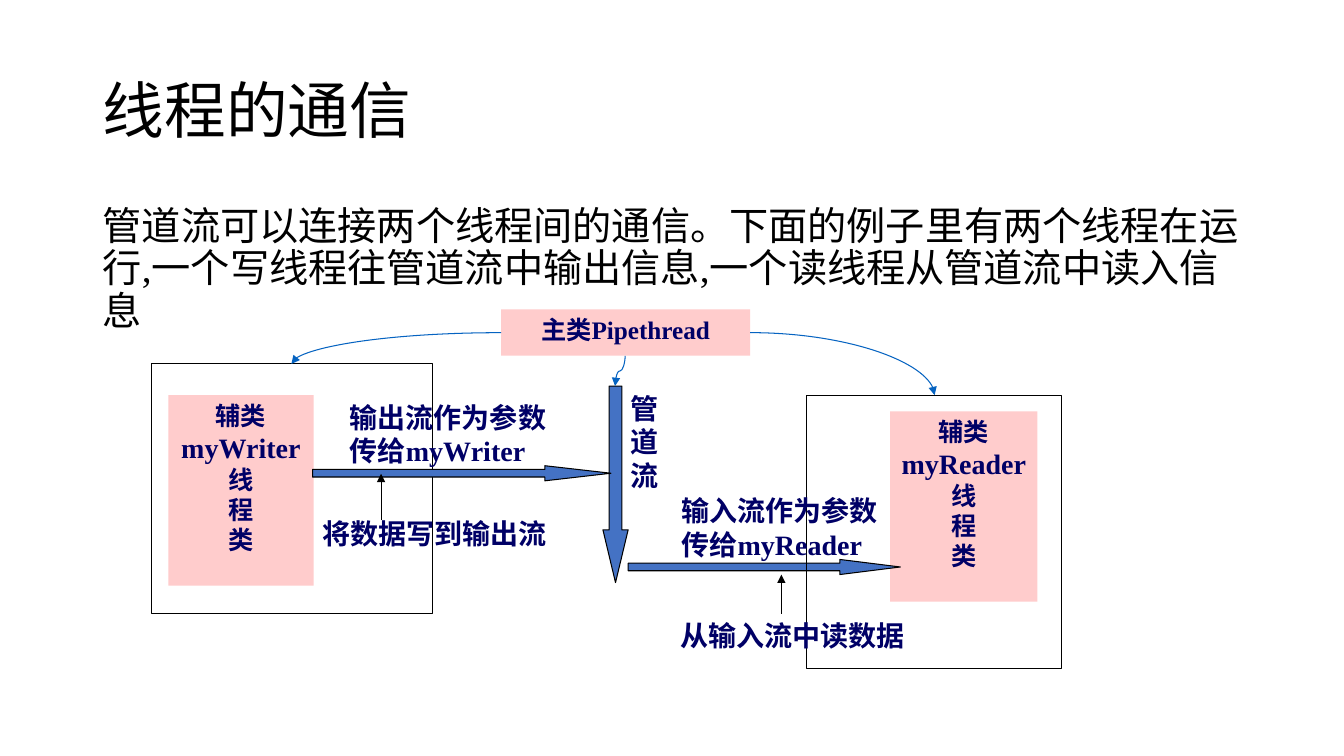
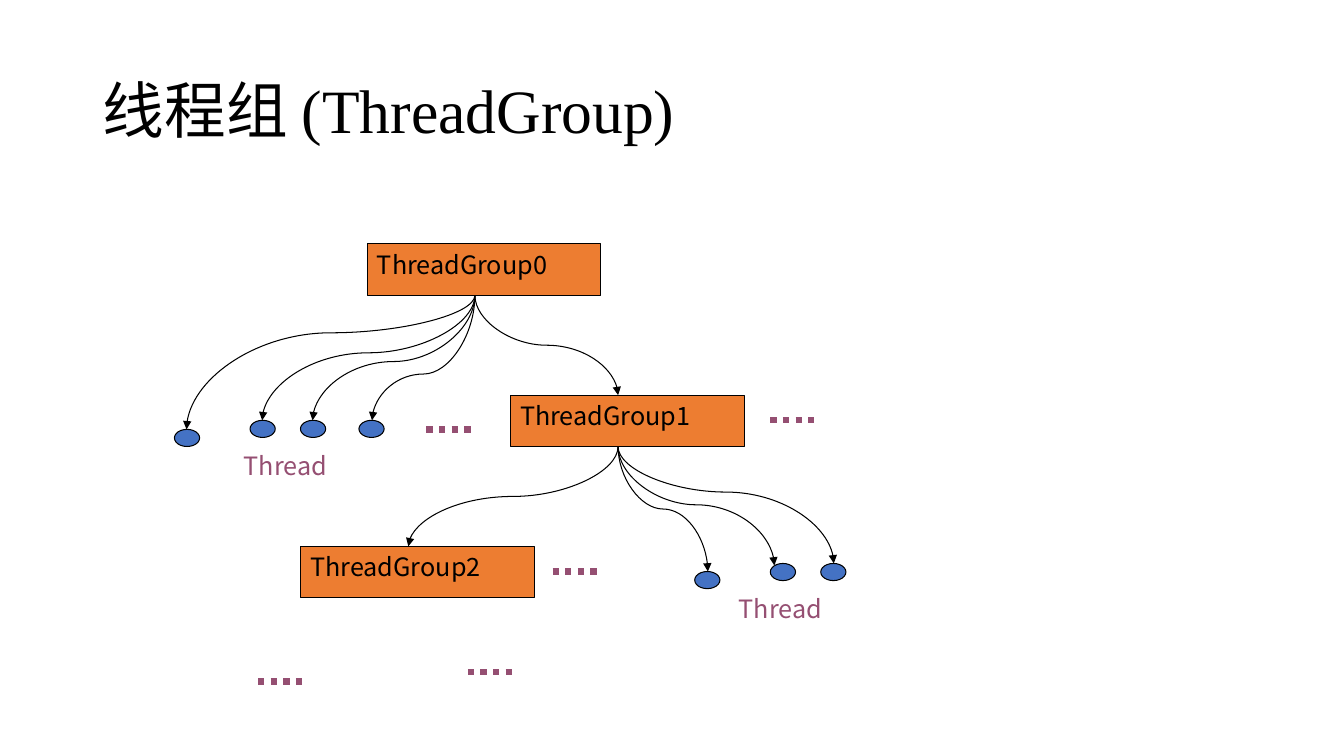
from dataclasses import dataclass, replace

from pptx import Presentation
from pptx import util as u
from pptx.dml import color as c
from pptx.enum import dml, shapes, text
from pptx.oxml import ns, xmlchemy


@dataclass(frozen=True)
class TextStyle:
    """Type settings for one kind of paragraph."""
    size: float
    color: str
    font: str = "Times New Roman"
    bold: bool = False
    align: text.PP_ALIGN = text.PP_ALIGN.LEFT
    line_spacing: float = 1.0
    space_before: float = 0


@dataclass(frozen=True)
class Theme:
    """Colours and type shared by the slides."""
    black: str = "000000"
    pink: str = "FFCCCC"
    blue: str = "4472C4"
    orange: str = "ED7D31"
    link: str = "0563C1"
    plum: str = "954F72"
    asian_font: str = "Noto Sans CJK SC"
    hairline: float = 0.75
    dots: float = 4.5
    title: TextStyle = TextStyle(44, "000000", line_spacing=0.9)
    body: TextStyle = TextStyle(28, "000000", line_spacing=0.9, space_before=10)
    label: TextStyle = TextStyle(20, "000066", bold=True)
    box: TextStyle = TextStyle(18, "000066", bold=True, align=text.PP_ALIGN.CENTER)
    group: TextStyle = TextStyle(18, "000000", "Noto Sans CJK SC")
    thread: TextStyle = TextStyle(18, "954F72", "Noto Sans CJK SC")


theme = Theme()
class_name = replace(theme.box, size=20)


def write(frame, lines, anchor=text.MSO_ANCHOR.TOP):
    """Fill a text frame with (text, style) paragraphs."""
    frame.text = "\n".join(line for line, _ in lines)
    frame.word_wrap = True
    frame.auto_size = text.MSO_AUTO_SIZE.NONE
    frame.vertical_anchor = anchor
    for paragraph, (_, style) in zip(frame.paragraphs, lines):
        paragraph.alignment = style.align
        paragraph.line_spacing = style.line_spacing
        paragraph.space_before = u.Pt(style.space_before)
        for run in paragraph.runs:
            run.font.size = u.Pt(style.size)
            run.font.name = style.font
            run.font.bold = style.bold
            run.font.color.rgb = c.RGBColor.from_string(style.color)
            asian = xmlchemy.OxmlElement("a:ea")
            asian.set("typeface", theme.asian_font)
            run.font._element.append(asian)


def connect(slide, start, end, color, width=theme.hairline, arrow=True, curved=False, bend=None):
    """Draw a line; a bend makes a curve that leaves downwards and turns at that fraction."""
    (x1, y1), (x2, y2) = start, end
    kind = shapes.MSO_CONNECTOR.STRAIGHT
    turn = {}
    if bend is not None:
        kind = shapes.MSO_CONNECTOR.CURVE
        turn = {"rot": 90} if x2 < x1 else {"rot": 270, "flipH": 1}
        long, wide = y2 - y1, abs(x2 - x1)
        middle_x, middle_y = (x1 + x2) / 2, (y1 + y2) / 2
        x1, x2 = middle_x - long / 2, middle_x + long / 2
        y1, y2 = middle_y - wide / 2, middle_y + wide / 2
    elif curved:
        kind = shapes.MSO_CONNECTOR.CURVE
        turn = {"rot": 180, "flipV": 1} if x2 < x1 else {}
        x1, x2 = sorted((x1, x2))
    connector = slide.shapes.add_connector(kind, *map(u.Inches, (x1, y1, x2, y2)))
    connector.line.color.rgb = c.RGBColor.from_string(color)
    connector.line.width = u.Pt(width)
    properties = connector._element.spPr
    frame = properties.find(ns.qn("a:xfrm"))
    for name, value in turn.items():
        frame.set(name, str(value * 60000 if name == "rot" else value))
    geometry = properties.find(ns.qn("a:prstGeom"))
    if bend is not None:
        guides = geometry.find(ns.qn("a:avLst"))
        guide = xmlchemy.OxmlElement("a:gd")
        guide.set("name", "adj1")
        guide.set("fmla", f"val {round(bend * 100000)}")
        guides.append(guide)
    elif curved:
        geometry.set("prst", "curvedConnector2")
    if arrow:
        head = xmlchemy.OxmlElement("a:tailEnd")
        head.set("type", "triangle")
        properties.find(ns.qn("a:ln")).append(head)
    properties.append(xmlchemy.OxmlElement("a:effectLst"))
    return connector


presentation = Presentation()
presentation.slide_width = u.Inches(13.33)
presentation.slide_height = u.Inches(7.5)

# Titles
slides = []
for layout, title, font in [
    (1, "线程的通信", theme.asian_font),
    (5, "线程组 (ThreadGroup)", theme.title.font),
]:
    slide = presentation.slides.add_slide(presentation.slide_layouts[layout])
    shape = slide.shapes.title
    shape.left, shape.top, shape.width, shape.height = map(u.Inches, (0.92, 0.4, 11.5, 1.45))
    write(shape.text_frame, [(title, replace(theme.title, font=font))], text.MSO_ANCHOR.MIDDLE)
    slides.append(slide)
pipe_slide, group_slide = slides

# Body text
body = pipe_slide.placeholders[1]
body.left, body.top, body.width, body.height = map(u.Inches, (0.92, 2, 11.5, 4.76))
write(body.text_frame, [(
    "管道流可以连接两个线程间的通信。下面的例子里有两个线程在运行,一个写线程往管道流中输出信息,"
    "一个读线程从管道流中读入信息".replace(",", ","), theme.body)])
body_properties = body.text_frame.paragraphs[0]._p.get_or_add_pPr()
body_properties.set("marL", "0")
body_properties.set("indent", "0")
body_properties.append(xmlchemy.OxmlElement("a:buNone"))

# Shapes of both diagrams: slide, kind, box, fill, outline, adjustments, lines
rectangle, ellipse = shapes.MSO_SHAPE.RECTANGLE, shapes.MSO_SHAPE.OVAL
right, down = shapes.MSO_SHAPE.RIGHT_ARROW, shapes.MSO_SHAPE.DOWN_ARROW
writer_lines, reader_lines = [
    [("辅类", theme.box), (name, class_name)] + [(line, theme.box) for line in "线程类"]
    for name in ("myWriter", "myReader")
]
diagram = [
    (pipe_slide, rectangle, (4.97, 3.07, 2.47, 0.46), theme.pink, None, (),
     [("主类Pipethread", theme.box)]),
    (pipe_slide, rectangle, (1.67, 3.92, 1.44, 1.89), theme.pink, None, (), writer_lines),
    (pipe_slide, rectangle, (8.83, 4.08, 1.46, 1.89), theme.pink, None, (), reader_lines),
    (pipe_slide, down, (5.98, 3.83, 0.25, 1.95), theme.blue, theme.black, (0.5, 2.094), []),
    (pipe_slide, right, (6.23, 5.55, 2.7, 0.15), theme.blue, theme.black, (0.5, 4), []),
    (pipe_slide, rectangle, (8, 3.92, 2.53, 2.71), None, theme.black, (), []),
    (pipe_slide, rectangle, (1.5, 3.61, 2.79, 2.48), None, theme.black, (), []),
    (pipe_slide, right, (3.1, 4.62, 2.96, 0.15), theme.blue, theme.black, (0.5, 4.375), []),
]
group_corners = [(3.64, 2.42), (5.06, 3.92), (2.98, 5.42)]
group_width, group_height = 2.32, 0.51
for number, corner in enumerate(group_corners):
    diagram.append((group_slide, rectangle, (*corner, group_width, group_height), theme.orange,
                    theme.black, (), [(f"ThreadGroup{number}", theme.group)]))
for corner in [(1.73, 4.26), (2.48, 4.17), (2.98, 4.17), (3.56, 4.17),
               (6.89, 5.67), (7.64, 5.59), (8.14, 5.59)]:
    diagram.append((group_slide, ellipse, (*corner, 0.25, 0.17), theme.blue, theme.black, (), []))

for slide, kind, box, fill, outline, adjustments, lines in diagram:
    shape = slide.shapes.add_shape(kind, *map(u.Inches, box))
    shape.shadow.inherit = False
    if fill:
        shape.fill.solid()
        shape.fill.fore_color.rgb = c.RGBColor.from_string(fill)
    else:
        shape.fill.background()
    if outline:
        shape.line.color.rgb = c.RGBColor.from_string(outline)
        shape.line.width = u.Pt(theme.hairline)
    else:
        shape.line.fill.background()
    for index, value in enumerate(adjustments):
        shape.adjustments[index] = value
    if lines:
        write(shape.text_frame, lines)

# Labels
for slide, box, lines, style in [
    (pipe_slide, (6.15, 3.83, 0.49, 1.02), "管道流", theme.label),
    (pipe_slide, (3.1, 5.08, 2.53, 0.4), ["将数据写到输出流"], theme.label),
    (pipe_slide, (6.65, 6.09, 2.46, 0.4), ["从输入流中读数据"], theme.label),
    (pipe_slide, (3.37, 3.92, 2.18, 0.71), ["输出流作为参数", "传给myWriter"], theme.label),
    (pipe_slide, (6.66, 4.85, 2.18, 0.71), ["输入流作为参数", "传给myReader"], theme.label),
    (group_slide, (2.32, 4.42, 1.24, 0.5), ["Thread"], theme.thread),
    (group_slide, (7.23, 5.84, 1.24, 0.5), ["Thread"], theme.thread),
]:
    label = slide.shapes.add_textbox(*map(u.Inches, box))
    write(label.text_frame, [(line, style) for line in lines])

# Pipe diagram connectors
connect(pipe_slide, (7.75, 6.09), (7.75, 5.7), theme.black)
connect(pipe_slide, (3.78, 5.16), (3.78, 4.7), theme.black)
connect(pipe_slide, (4.97, 3.3), (2.89, 3.61), theme.link, curved=True)
connect(pipe_slide, (7.44, 3.3), (9.27, 3.92), theme.link, curved=True)
connect(pipe_slide, (6.2, 3.53), (6.1, 3.83), theme.link, bend=0.5)

# Thread tree: parent group, end point, bend
for parent, end, bend in [
    (0, (1.85, 4.26), 0.28), (0, (2.6, 4.17), 0.46), (0, (3.1, 4.17), 0.53),
    (0, (3.69, 4.17), 0.63), (0, (6.13, 3.92), 0.5), (1, (4.05, 5.42), 0.5),
    (1, (7.02, 5.67), 0.5), (1, (7.68, 5.61), 0.49), (1, (8.27, 5.59), 0.39),
]:
    left, top = group_corners[parent]
    connect(group_slide, (left + 1.07, top + group_height), end, theme.black, bend=bend)

# Dotted continuations
for x, y in [(2.56, 6.76), (4.23, 4.26), (7.64, 4.17), (5.48, 5.67), (4.64, 6.67)]:
    dots = connect(group_slide, (x, y), (x + 0.5, y), theme.plum, theme.dots, arrow=False)
    dots.line.dash_style = dml.MSO_LINE.ROUND_DOT

presentation.save("out.pptx")
